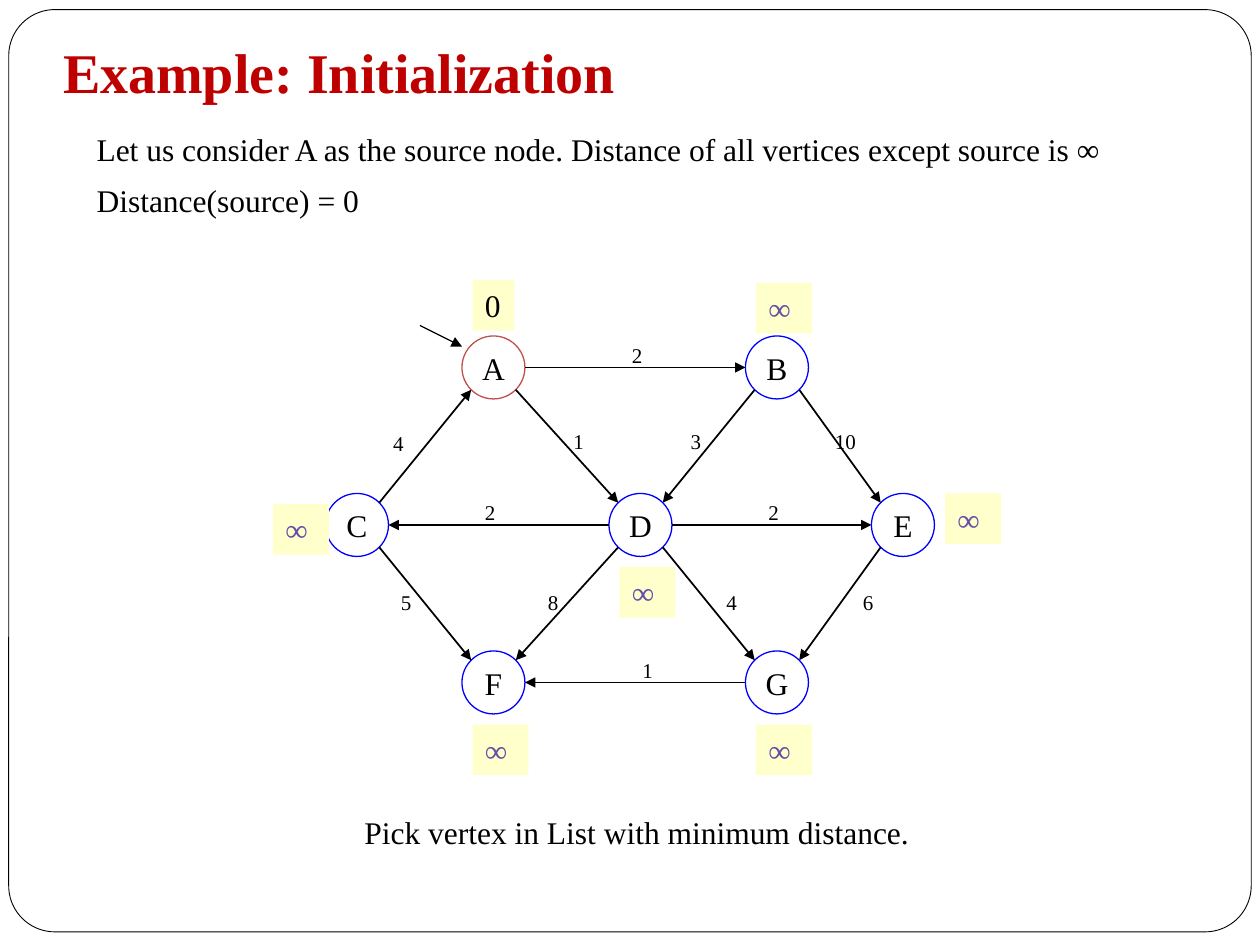
import math
from dataclasses import dataclass

import lxml.etree
import pptx
import pptx.dml.color
import pptx.enum.shapes
import pptx.enum.text
import pptx.oxml.ns
import pptx.util

Pt = pptx.util.Pt
Align = pptx.enum.text.PP_ALIGN
Anchor = pptx.enum.text.MSO_ANCHOR
ShapeType = pptx.enum.shapes.MSO_SHAPE

FONT = "Times New Roman"
COLORS = {
    "title": "BF0000",
    "text": "000000",
    "source": "C0504D",
    "vertex": "0000FF",
    "source_fill": "FFFFFF",
    "distance_fill": "FFFFCC",
    "infinity": "674EA7",
}
RADIUS = 18
DISTANCE_HEIGHT = 29


@dataclass(frozen=True)
class Vertex:
    name: str
    x: float
    y: float
    distance_left: float
    distance_top: float
    is_source: bool = False


@dataclass(frozen=True)
class Edge:
    start: str
    end: str
    weight: str
    label_left: float
    label_top: float


VERTICES = [
    Vertex("A", 282, 210, 270, 160, is_source=True),
    Vertex("B", 444, 210, 432, 161.5),
    Vertex("C", 204, 300, 156, 288),
    Vertex("D", 366, 300, 354, 324),
    Vertex("E", 516, 300, 540, 282),
    Vertex("F", 282, 390, 270, 414),
    Vertex("G", 444, 390, 432, 414),
]
EDGES = [
    Edge("A", "B", "2", 354, 192),
    Edge("A", "D", "1", 320.5, 241.5),
    Edge("B", "D", "3", 387.5, 241.5),
    Edge("B", "E", "10", 470, 241.5),
    Edge("C", "A", "4", 217.5, 242.5),
    Edge("C", "F", "5", 222, 333),
    Edge("D", "C", "2", 270, 282),
    Edge("D", "E", "2", 432, 282),
    Edge("D", "F", "8", 306, 333),
    Edge("D", "G", "4", 408, 333),
    Edge("E", "G", "6", 486, 333),
    Edge("G", "F", "1", 360, 372),
]


def rgb(name: str) -> pptx.dml.color.RGBColor:
    return pptx.dml.color.RGBColor.from_string(COLORS[name])


def format_paragraph(paragraph, size: float, color: str = "text", align=Align.LEFT) -> None:
    paragraph.alignment = align
    paragraph.font.name = FONT
    paragraph.font.size = Pt(size)
    paragraph.font.color.rgb = rgb(color)


def place(shape, left: float, top: float, width: float, height: float) -> None:
    shape.left, shape.top = Pt(left), Pt(top)
    shape.width, shape.height = Pt(width), Pt(height)


def add_shape(slide, kind, left, top, width, height, fill=None, line=None, line_width=0.75):
    shape = slide.shapes.add_shape(kind, Pt(left), Pt(top), Pt(width), Pt(height))
    shape.shadow.inherit = False
    if fill:
        shape.fill.solid()
        shape.fill.fore_color.rgb = rgb(fill)
    else:
        shape.fill.background()
    if line:
        shape.line.color.rgb = rgb(line)
        shape.line.width = Pt(line_width)
    else:
        shape.line.fill.background()
    return shape


def add_text(slide, text: str, left, top, width, height, size, align=Align.LEFT) -> None:
    box = slide.shapes.add_textbox(Pt(left), Pt(top), Pt(width), Pt(height))
    box.text_frame.word_wrap = True
    box.text_frame.vertical_anchor = Anchor.MIDDLE
    box.text_frame.text = text
    format_paragraph(box.text_frame.paragraphs[0], size, align=align)


def add_arrow(slide, x1: float, y1: float, x2: float, y2: float, width: float = 1) -> None:
    arrow = slide.shapes.add_connector(
        pptx.enum.shapes.MSO_CONNECTOR.STRAIGHT, Pt(x1), Pt(y1), Pt(x2), Pt(y2)
    )
    arrow.line.color.rgb = rgb("text")
    arrow.line.width = Pt(width)
    line = arrow.line._get_or_add_ln()
    lxml.etree.SubElement(line, pptx.oxml.ns.qn("a:tailEnd"), type="triangle")
    lxml.etree.SubElement(arrow._element.spPr, pptx.oxml.ns.qn("a:effectLst"))


def add_vertex(slide, vertex: Vertex) -> None:
    circle = add_shape(
        slide, ShapeType.OVAL, vertex.x - RADIUS, vertex.y - RADIUS, 2 * RADIUS, 2 * RADIUS,
        fill="source_fill" if vertex.is_source else None,
        line="source" if vertex.is_source else "vertex",
    )
    circle.text_frame.word_wrap = False
    circle.text_frame.vertical_anchor = Anchor.MIDDLE
    circle.text_frame.text = vertex.name
    format_paragraph(circle.text_frame.paragraphs[0], 18, align=Align.CENTER)


def add_distance(slide, vertex: Vertex) -> None:
    text, color, width = ("0", "text", 24) if vertex.is_source else ("∞", "infinity", 32)
    box = add_shape(
        slide, ShapeType.RECTANGLE, vertex.distance_left, vertex.distance_top,
        width, DISTANCE_HEIGHT, fill="distance_fill",
    )
    box.text_frame.vertical_anchor = Anchor.TOP
    box.text_frame.text = text
    format_paragraph(box.text_frame.paragraphs[0], 18, color)


def add_edge(slide, edge: Edge, vertices: dict[str, Vertex]) -> None:
    start, end = vertices[edge.start], vertices[edge.end]
    step_x, step_y = ((b > a) - (b < a) for a, b in ((start.x, end.x), (start.y, end.y)))
    reach = RADIUS / math.hypot(step_x, step_y)
    add_arrow(
        slide, start.x + step_x * reach, start.y + step_y * reach,
        end.x - step_x * reach, end.y - step_y * reach,
    )
    label_width = 15 + 6 * len(edge.weight)
    add_text(slide, edge.weight, edge.label_left, edge.label_top, label_width, 21.5, 12)


def fill_title(title) -> None:
    place(title, 36, 21.5, 648, 39)
    frame = title.text_frame
    frame.margin_left = frame.margin_top = frame.margin_right = frame.margin_bottom = 0
    frame.vertical_anchor = Anchor.TOP
    frame.text = "Example: Initialization"
    format_paragraph(frame.paragraphs[0], 32, "title")
    frame.paragraphs[0].font.bold = True


def fill_body(body) -> None:
    place(body, 48, 70.5, 660, 57)
    body.text_frame.text = (
        "Let us consider A as the source node. Distance of all vertices except source is ∞\n"
        "Distance(source) = 0"
    )
    for index, paragraph in enumerate(body.text_frame.paragraphs):
        properties = paragraph._p.get_or_add_pPr()
        properties.set("marL", "0")
        properties.set("indent", "0")
        lxml.etree.SubElement(properties, pptx.oxml.ns.qn("a:buNone"))
        paragraph.space_before = Pt(8 if index else 0)
        format_paragraph(paragraph, 18)


def main() -> None:
    presentation = pptx.Presentation()
    presentation.slide_width, presentation.slide_height = Pt(720), Pt(540)
    slide = presentation.slides.add_slide(presentation.slide_layouts[1])
    frame = add_shape(
        slide, ShapeType.ROUNDED_RECTANGLE, 5, 5.5, 710, 527, line="text", line_width=0.5
    )
    frame.adjustments[0] = 0.05
    fill_title(slide.shapes.title)
    fill_body(slide.placeholders[1])

    vertices = {vertex.name: vertex for vertex in VERTICES}
    for vertex in VERTICES:
        add_vertex(slide, vertex)
    for edge in EDGES:
        add_edge(slide, edge, vertices)
    for vertex in VERTICES:
        add_distance(slide, vertex)
    add_arrow(slide, 240, 186, 264, 198, 0.75)
    add_text(
        slide, "Pick vertex in List with minimum distance.", 198, 461, 332, 29, 18, Align.CENTER
    )
    presentation.save("out.pptx")


if __name__ == "__main__":
    main()
